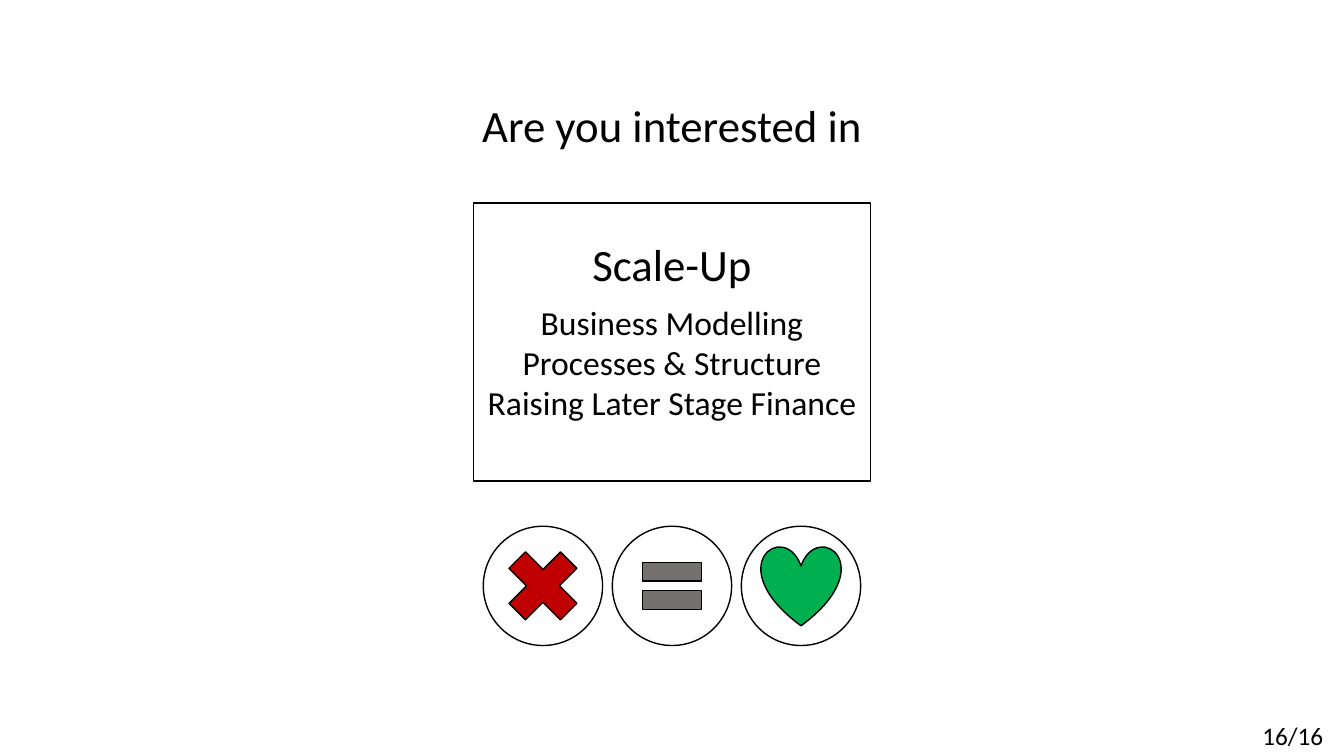
from pptx import Presentation
from pptx.dml.color import RGBColor
from pptx.enum.shapes import MSO_SHAPE
from pptx.enum.text import MSO_ANCHOR, MSO_AUTO_SIZE, PP_ALIGN
from pptx.util import Inches, Pt

BLACK = RGBColor(0x00, 0x00, 0x00)
WHITE = RGBColor(0xFF, 0xFF, 0xFF)
RED = RGBColor(0xC0, 0x00, 0x00)
GRAY = RGBColor(0x76, 0x71, 0x71)
GREEN = RGBColor(0x00, 0xB0, 0x50)

CROSS, EQUAL, HEART = MSO_SHAPE.MATH_MULTIPLY, MSO_SHAPE.MATH_EQUAL, MSO_SHAPE.HEART
CIRCLE, RECTANGLE = MSO_SHAPE.OVAL, MSO_SHAPE.RECTANGLE
CENTER, TOP, GROW = PP_ALIGN.CENTER, MSO_ANCHOR.TOP, MSO_AUTO_SIZE.SHAPE_TO_FIT_TEXT

# Square grid of 160 columns by 90 rows
CELL = Inches(1) / 12
MIDDLE = 80


class SlideBuilder:
    frame_format = {"word_wrap": True, "vertical_anchor": TOP, "auto_size": GROW}
    font_format = {"name": "Calibri", "bold": False}

    def __init__(self, slide):
        self.slide = slide
        self.shapes = slide.shapes

    def bounds(self, center, middle, width, height):
        """Turn a center point and size in cells into left, top, width, height."""
        cells = (center - width / 2, middle - height / 2, width, height)
        return [round(value * CELL) for value in cells]

    def start_group(self):
        self.shapes = self.slide.shapes.add_group_shape().shapes

    def fill_text(self, shape, lines, size):
        frame = shape.text_frame
        frame.text = "\n".join(lines)
        for name, value in self.frame_format.items():
            setattr(frame, name, value)
        for paragraph in frame.paragraphs:
            paragraph.alignment = CENTER
            paragraph.line_spacing = 1.0
            paragraph.space_before = Pt(0)
            for name, value in {**self.font_format, "size": Pt(size)}.items():
                setattr(paragraph.font, name, value)
            paragraph.font.color.rgb = BLACK

    def title(self, text, size, *place):
        title = self.slide.shapes.title
        for name, value in zip(("left", "top", "width", "height"), self.bounds(*place)):
            setattr(title, name, value)
        self.fill_text(title, [text], size)

    def text(self, lines, size, *place):
        self.fill_text(self.shapes.add_textbox(*self.bounds(*place)), lines, size)

    def shape(self, kind, color, *place):
        shape = self.shapes.add_shape(kind, *self.bounds(*place))
        shape.shadow.inherit = False
        if color is None:
            shape.fill.background()
        else:
            shape.fill.solid()
            shape.fill.fore_color.rgb = color
        shape.line.color.rgb = BLACK
        shape.line.width = Pt(1)


presentation = Presentation()
presentation.slide_width = round(160 * CELL)
presentation.slide_height = round(90 * CELL)
title_only = presentation.slide_layouts[5]
builder = SlideBuilder(presentation.slides.add_slide(title_only))

# Question and page number
builder.title("Are you interested in", 32, MIDDLE, 14.9, 72.6, 7.7)
builder.text(["16/16"], 18, 153.9, 87.6, 12, 4.8)

# Answer buttons
BUTTON_ROW, BUTTON_STEP, BUTTON_SIZE = 69.75, 15.36, 14.2
builder.start_group()
answers = [(CROSS, RED, 11.8), (EQUAL, GRAY, 9.5), (HEART, GREEN, 9.5)]
for index, (symbol, color, size) in enumerate(answers):
    center = MIDDLE + (index - 1) * BUTTON_STEP
    builder.shape(CIRCLE, WHITE, center, BUTTON_ROW, BUTTON_SIZE, BUTTON_SIZE)
    builder.shape(symbol, color, center, BUTTON_ROW, size, size)

# Topic card
CARD_WIDTH = 47.3
topics = ["Business Modelling", "Processes & Structure", "Raising Later Stage Finance"]
builder.start_group()
builder.text(["Scale-Up"], 32, MIDDLE, 31.44, CARD_WIDTH, 7.7)
builder.text(topics, 24, MIDDLE, 43.14, 63.1, 15.7)
builder.shape(RECTANGLE, None, MIDDLE, 40.7, CARD_WIDTH, 33.1)

presentation.save("out.pptx")
